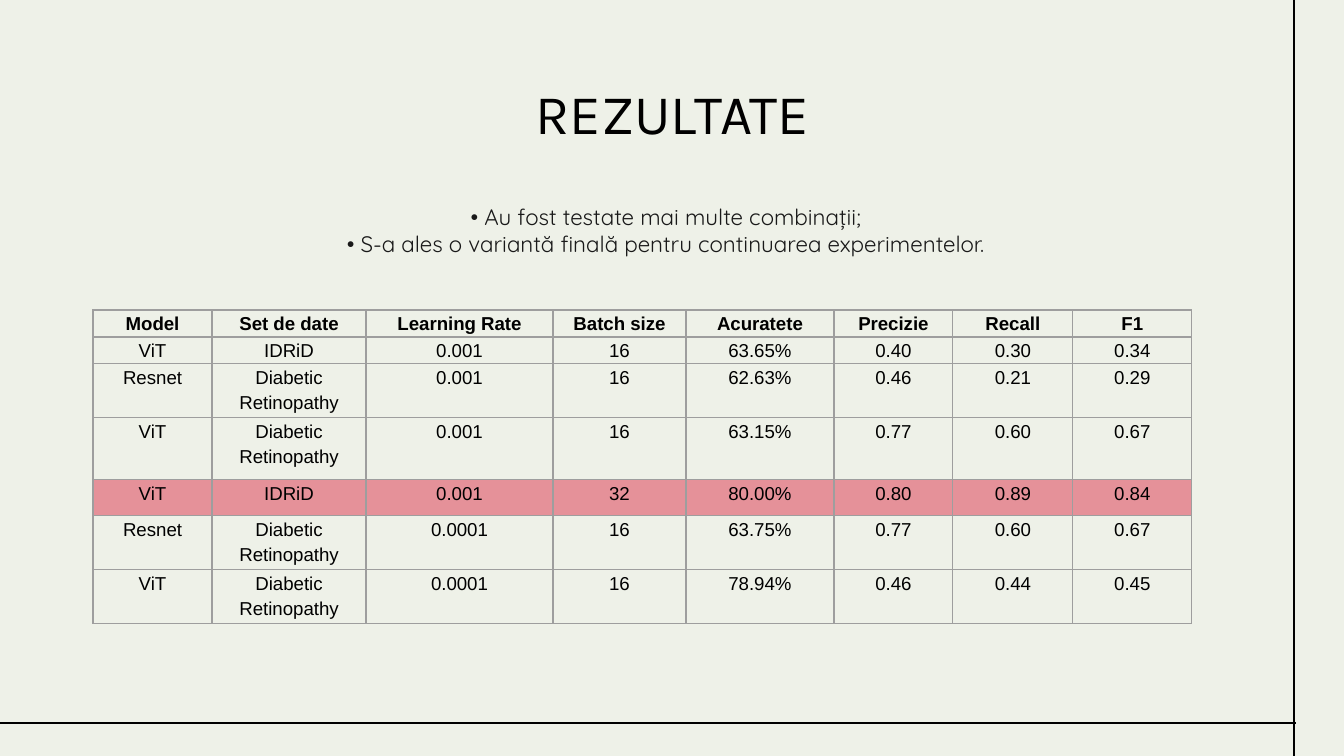
from lxml import etree
from pptx import Presentation
from pptx.dml.color import RGBColor
from pptx.enum.shapes import MSO_CONNECTOR as CONN
from pptx.enum.text import PP_ALIGN as AL
from pptx.oxml import parse_xml
from pptx.oxml.ns import nsdecls, qn
from pptx.util import Pt

PX = 914400 / 134.4  # EMU per px
GREY, ROSE = "9E9E9E", "E59199"


def px(n):
    return round(n * PX)


def color(h):
    return RGBColor.from_string(h)


prs = Presentation()
prs.slide_width, prs.slide_height = px(1344), px(756)
s = prs.slides.add_slide(prs.slide_layouts[6])
s.background.fill.solid()
s.background.fill.fore_color.rgb = color("EEF1E8")

# Frame lines
for x1, y1, x2, y2 in [(1294, 0, 1294, 758), (0, 723, 1296, 723)]:
    ln = s.shapes.add_connector(CONN.STRAIGHT, px(x1), px(y1), px(x2), px(y2))
    ln.line.color.rgb = color("000000")
    ln.line.width = Pt(0.75)
    etree.SubElement(ln._element.spPr, qn("a:effectLst"))

# Title and subtitle
texts = [
    ((106, 66, 1133, 85), ["REZULTATE"], "Karla", 30, "000000"),
    ((238, 190, 856, 105),
     ["• Au fost testate mai multe combinații;",
      "• S-a ales o variantă finală pentru continuarea experimentelor."],
     "Quicksand", 12, "191919"),
]
for box, lines, font, size, ink in texts:
    tf = s.shapes.add_textbox(*map(px, box)).text_frame
    tf.word_wrap = True
    tf.margin_left = tf.margin_right = tf.margin_top = tf.margin_bottom = px(13)
    tf.text = "\n".join(lines)
    for p in tf.paragraphs:
        p.alignment = AL.CENTER
        for r in p.runs:
            r.font.name, r.font.size = font, Pt(size)
            r.font.color.rgb = color(ink)

# Results table
DR = "Diabetic Retinopathy"
rows = [
    ("Model", "Set de date", "Learning Rate", "Batch size",
     "Acuratete", "Precizie", "Recall", "F1"),
    ("ViT", "IDRiD", "0.001", "16", "63.65%", "0.40", "0.30", "0.34"),
    ("Resnet", DR, "0.001", "16", "62.63%", "0.46", "0.21", "0.29"),
    ("ViT", DR, "0.001", "16", "63.15%", "0.77", "0.60", "0.67"),
    ("ViT", "IDRiD", "0.001", "32", "80.00%", "0.80", "0.89", "0.84"),
    ("Resnet", DR, "0.0001", "16", "63.75%", "0.77", "0.60", "0.67"),
    ("ViT", DR, "0.0001", "16", "78.94%", "0.46", "0.44", "0.45"),
]
widths = [119, 154, 187, 133, 148, 119, 120, 119]
heights = [25, 25, 50, 62, 36, 50, 50]
BEST = 4  # row of the chosen variant

tbl = s.shapes.add_table(len(rows), len(widths), px(93), px(310),
                         px(sum(widths)), px(sum(heights))).table
tbl.first_row = tbl.horz_banding = False
for col, w in zip(tbl.columns, widths):
    col.width = px(w)
for row, h in zip(tbl.rows, heights):
    row.height = px(h)

for i, values in enumerate(rows):
    for j, value in enumerate(values):
        cell = tbl.cell(i, j)
        cell.margin_left = cell.margin_right = px(8)
        cell.margin_top = cell.margin_bottom = 0
        # Borders go before the fill in the cell properties
        tcPr = cell._tc.get_or_add_tcPr()
        for side in ("lnL", "lnR", "lnT", "lnB"):
            tcPr.append(parse_xml(
                f'<a:{side} {nsdecls("a")} w="{Pt(0.75)}"><a:solidFill>'
                f'<a:srgbClr val="{GREY}"/></a:solidFill></a:{side}>'))
        if i == BEST:
            cell.fill.solid()
            cell.fill.fore_color.rgb = color(ROSE)
        else:
            cell.fill.background()
        cell.text_frame.text = value
        p = cell.text_frame.paragraphs[0]
        p.alignment, p.line_spacing = AL.CENTER, 1.2
        r = p.runs[0]
        r.font.name, r.font.size, r.font.bold = "Arial", Pt(10), i == 0
        r.font.color.rgb = color("000000")

prs.save("out.pptx")
